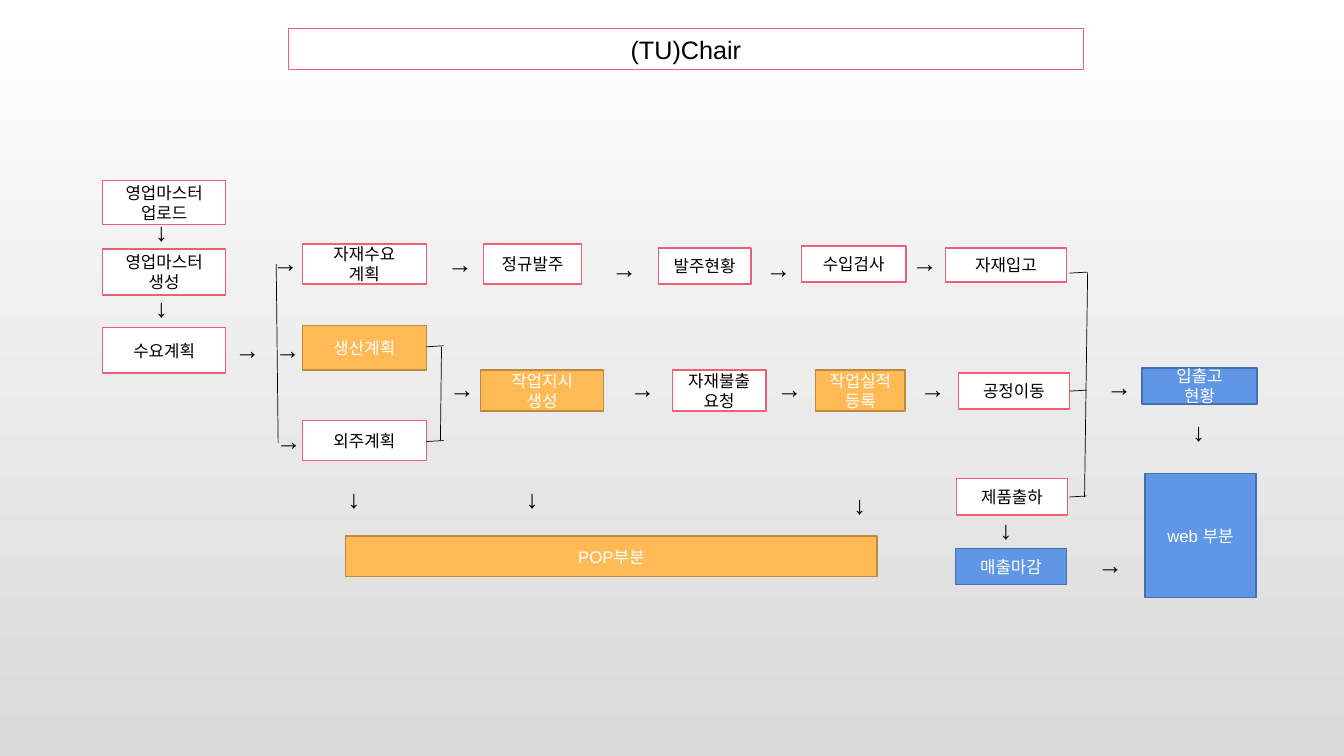
import pptx
import pptx.util
import pptx.dml.color
import pptx.enum.shapes
import pptx.enum.text
import pptx.oxml

Pt = pptx.util.Pt
COLORS = {
    "white": "FFFFFF", "gray": "D9D9D9", "black": "000000", "rose": "EC5F74",
    "orange": "FFBA55", "bronze": "BD8A3F", "blue": "6096E6", "navy": "476FAA",
}


def rgb(name):
    return pptx.dml.color.RGBColor.from_string(COLORS[name])


class FlowSlide:
    font = "Arial"
    kinds = {
        "erp": ("white", "rose", "black"),
        "pop": ("orange", "bronze", "white"),
        "web": ("blue", "navy", "white"),
    }

    def __init__(self, deck):
        self.slide = deck.slides.add_slide(deck.slide_layouts[5])
        self.shapes = self.slide.shapes

    def background(self, top, bottom):
        fill = self.slide.background.fill
        fill.gradient()
        fill.gradient_angle = 270
        for stop, color, position in zip(fill.gradient_stops, (top, bottom), (0, 1)):
            stop.color.rgb = rgb(color)
            stop.position = position

    def set_text(self, frame, text, size, color, align):
        frame.text = text
        for paragraph in frame.paragraphs:
            paragraph.alignment = align
            paragraph.font.size = Pt(size)
            paragraph.font.name = self.font
            paragraph.font.color.rgb = rgb(color)

    def dress(self, shape, text, kind, size):
        fill, line, ink = self.kinds[kind]
        shape.fill.solid()
        shape.fill.fore_color.rgb = rgb(fill)
        shape.line.color.rgb = rgb(line)
        shape.line.width = Pt(1)
        frame = shape.text_frame
        frame.word_wrap = True
        frame.vertical_anchor = pptx.enum.text.MSO_ANCHOR.MIDDLE
        self.set_text(frame, text, size, ink, pptx.enum.text.PP_ALIGN.CENTER)

    def title(self, text, left, top, width, height):
        title = self.shapes.title
        title.left, title.top = Pt(left), Pt(top)
        title.width, title.height = Pt(width), Pt(height)
        self.dress(title, text, "erp", 18)

    def step(self, text, kind, left, top, width, height):
        box = self.shapes.add_shape(
            pptx.enum.shapes.MSO_SHAPE.RECTANGLE,
            Pt(left), Pt(top), Pt(width), Pt(height))
        box.shadow.inherit = False
        self.dress(box, text, kind, 12)

    def arrow(self, sign, left, top, width, wrap=False):
        box = self.shapes.add_textbox(Pt(left), Pt(top), Pt(width), Pt(28.8))
        frame = box.text_frame
        self.set_text(frame, sign, 18, "black", pptx.enum.text.PP_ALIGN.LEFT)
        frame.word_wrap = wrap
        frame.auto_size = pptx.enum.text.MSO_AUTO_SIZE.SHAPE_TO_FIT_TEXT

    def line(self, x1, y1, x2, y2):
        line = self.shapes.add_connector(
            pptx.enum.shapes.MSO_CONNECTOR.STRAIGHT, Pt(x1), Pt(y1), Pt(x2), Pt(y2))
        line.line.color.rgb = rgb("black")
        line.line.width = Pt(0.5)
        properties = line.element.spPr
        properties.append(properties.makeelement(pptx.oxml.ns.qn("a:effectLst"), {}))


deck = pptx.Presentation()
deck.slide_width, deck.slide_height = Pt(960), Pt(540)
flow = FlowSlide(deck)
flow.background("white", "gray")
flow.title("(TU)Chair", 205.9, 20.2, 568.1, 29.5)

STEPS = [
    ("영업마스터\n업로드", "erp", 73.4, 128.9, 87.8, 31.7),
    ("영업마스터\n생성", "erp", 73.4, 177.8, 87.8, 33.1),
    ("수요계획", "erp", 73.4, 234, 87.8, 32.4),
    ("자재수요\n계획", "erp", 216, 174.2, 88.6, 28.8),
    ("정규발주", "erp", 345.6, 174.2, 69.8, 28.8),
    ("발주현황", "erp", 470.2, 177.1, 66.2, 25.9),
    ("수입검사", "erp", 572.4, 175.7, 74.9, 25.9),
    ("자재입고", "erp", 675.4, 177.1, 86.4, 24.5),
    ("생산계획", "pop", 216, 232.6, 88.6, 31.7),
    ("외주계획", "erp", 216, 300.2, 88.6, 28.8),
    ("작업지시\n생성", "pop", 343.4, 264.2, 87.8, 29.5),
    ("자재불출\n요청", "erp", 480.2, 264.2, 67, 29.5),
    ("작업실적\n등록", "pop", 582.5, 264.2, 64.1, 29.5),
    ("공정이동", "erp", 684.7, 266.4, 79.2, 25.9),
    ("입출고\n현황", "web", 815.8, 262.8, 82.1, 25.9),
    ("제품출하", "erp", 683.3, 342, 79.2, 25.9),
    ("매출마감", "web", 682.6, 391.7, 79.2, 25.9),
    ("web 부분", "web", 817.9, 338.4, 79.2, 88.6),
    ("POP부분", "pop", 247, 383, 379.4, 28.8),
]
for step in STEPS:
    flow.step(*step)

DOWN = [(103.7, 151.2), (103.7, 205.2), (707, 363.6), (844.6, 293.8),
        (241.2, 342), (368.6, 342), (602.6, 346.3)]
for left, top in DOWN:
    flow.arrow("↓", left, top, 23.8)

ONWARD = [(160.6, 235.4), (312.5, 174.2), (429.8, 177.1), (540, 177.1),
          (644.4, 172.8), (313.9, 262.8), (442.8, 262.8), (547.9, 262.8),
          (650.2, 262.8), (783.4, 261.4), (776.9, 388.8)]
for left, top in ONWARD:
    flow.arrow("→", left, top, 32.4)

PLAN_BRANCHES = [(187.9, 172.8), (189.4, 235.4), (190.1, 300.2)]
for left, top in PLAN_BRANCHES:
    flow.arrow("→", left, top, 19.4, wrap=True)

TRUNKS = [(197.3, 188.6, 198.7, 316.1), (315.4, 247.7, 314.6, 314.6),
          (776.9, 194.4, 774.7, 355)]
for trunk in TRUNKS:
    flow.line(*trunk)

STUBS = {304.6: (247.7, 315.4), 763.9: (195.1, 279.4, 355)}
for left, heights in STUBS.items():
    for y in heights:
        flow.line(left, y, left + 12.2, y - 0.7)

deck.save("out.pptx")
